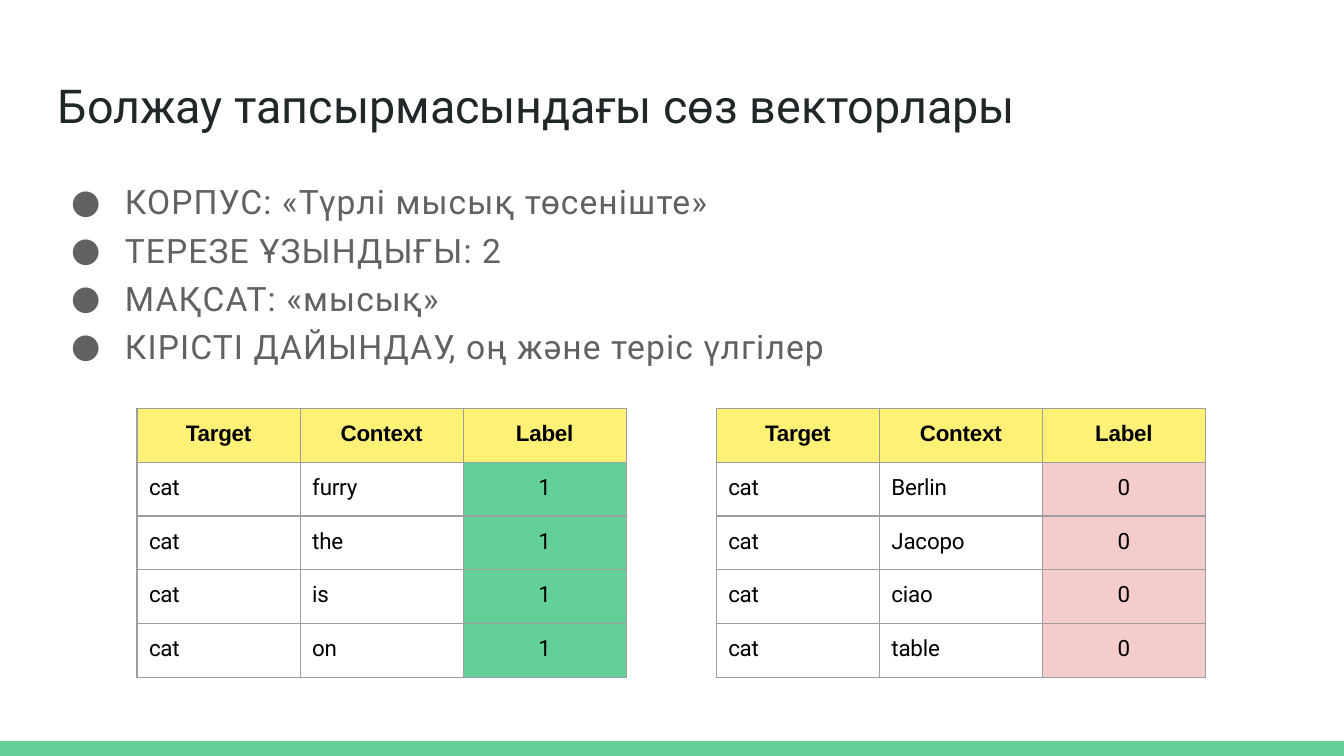
"""Build a slide on word vectors in a prediction task, with positive and negative samples."""
import pptx
import pptx.dml.color
import pptx.enum.shapes
import pptx.enum.text
import pptx.oxml
import pptx.oxml.ns
import pptx.util

Inches, Pt = pptx.util.Inches, pptx.util.Pt
RGBColor = pptx.dml.color.RGBColor
ALIGN = pptx.enum.text.PP_ALIGN
ANCHOR = pptx.enum.text.MSO_ANCHOR
NS = pptx.oxml.ns.nsdecls("a")

GREEN = RGBColor(0x63, 0xD1, 0x97)
PINK = RGBColor(0xF4, 0xCC, 0xCC)
YELLOW = RGBColor(0xFF, 0xF1, 0x76)
INK = RGBColor(0x20, 0x27, 0x29)
GREY = RGBColor(0x61, 0x61, 0x61)
BLACK = RGBColor(0, 0, 0)
BORDER = RGBColor(0x9E, 0x9E, 0x9E)

TITLE = "Болжау тапсырмасындағы сөз векторлары"
BULLETS = [
    "КОРПУС: «Түрлі мысық төсеніште»",
    "ТЕРЕЗЕ ҰЗЫНДЫҒЫ: 2",
    "МАҚСАТ: «мысық»",
    "КІРІСТІ ДАЙЫНДАУ, оң және теріс үлгілер",
]
HEADERS = ["Target", "Context", "Label"]
SAMPLES = [
    (1.02, "1", GREEN, ["furry", "the", "is", "on"]),
    (5.33, "0", PINK, ["Berlin", "Jacopo", "ciao", "table"]),
]
TITLE_FONT = {"name": "Roboto", "size": Pt(25), "bold": False}
BULLET_FONT = {"name": "Roboto", "size": Pt(18)}
HEADER_FONT = {"name": "Arial", "size": Pt(12), "bold": True}
CELL_FONT = {"name": "Roboto", "size": Pt(12), "bold": False}


def set_attrs(target, values):
    for name, value in values.items():
        setattr(target, name, value)


def set_margins(target, top, left=0):
    set_attrs(target, {"margin_left": Inches(left), "margin_top": Inches(top),
                       "margin_right": 0, "margin_bottom": 0})


def add_text(p, text, font, color, spacing=0):
    r = p.add_run()
    r.text = text
    set_attrs(r.font, font)
    r.font.color.rgb = color
    if spacing:
        r.font._element.set("spc", str(round(spacing * 100)))


def add_bar(s, slide_height):
    height = Inches(0.11)
    sp = s.shapes.add_shape(pptx.enum.shapes.MSO_SHAPE.RECTANGLE,
                            0, slide_height - height, Inches(10), height)
    sp.shadow.inherit = False
    sp.fill.solid()
    sp.fill.fore_color.rgb = GREEN
    sp.line.fill.background()


def add_title(s):
    sp = s.shapes.title
    set_attrs(sp, {"left": Inches(0.42), "top": Inches(0.55),
                   "width": Inches(8.32), "height": Inches(0.45)})
    tf = sp.text_frame
    set_margins(tf, 0.02, 0.01)
    set_attrs(tf, {"vertical_anchor": ANCHOR.TOP, "word_wrap": True,
                   "auto_size": pptx.enum.text.MSO_AUTO_SIZE.SHAPE_TO_FIT_TEXT})
    p = tf.paragraphs[0]
    p.alignment = ALIGN.LEFT
    add_text(p, TITLE, TITLE_FONT, INK)


def add_bullets(s):
    sp = s.shapes.add_textbox(Inches(0.52), Inches(1.29), Inches(6.23), Inches(1.44))
    tf = sp.text_frame
    tf.word_wrap = True
    set_margins(tf, 0.06)
    for i, text in enumerate(BULLETS):
        p = tf.add_paragraph() if i else tf.paragraphs[0]
        pPr = p._p.get_or_add_pPr()
        pPr.set("marL", str(Inches(0.41)))
        pPr.set("indent", str(Inches(-0.4)))
        pPr.append(pptx.oxml.parse_xml(f'<a:buFont {NS} typeface="Roboto"/>'))
        pPr.append(pptx.oxml.parse_xml(f'<a:buChar {NS} char="●"/>'))
        if i:
            p.space_before = Pt(4.2)
        add_text(p, text, BULLET_FONT, GREY, 0.6)


def add_borders(cell):
    tcPr = cell._tc.get_or_add_tcPr()
    for side in "LRTB":
        tcPr.append(pptx.oxml.parse_xml(
            f'<a:ln{side} {NS} w="{Pt(0.75)}"><a:solidFill>'
            f'<a:srgbClr val="{BORDER}"/></a:solidFill></a:ln{side}>'))


def fill_cell(cell, text, font, spacing, fill=None, centered=False):
    add_borders(cell)
    if fill is None:
        cell.fill.background()
    else:
        cell.fill.solid()
        cell.fill.fore_color.rgb = fill
    set_margins(cell, 0.09, 0 if centered else 0.09)
    cell.vertical_anchor = ANCHOR.TOP
    p = cell.text_frame.paragraphs[0]
    p.alignment = ALIGN.CENTER if centered else ALIGN.LEFT
    add_text(p, text, font, BLACK, spacing)


def add_samples(s, left, label, color, contexts):
    table = s.shapes.add_table(len(contexts) + 1, len(HEADERS), Inches(left), Inches(3.04),
                               Inches(3.64), Inches(2)).table
    set_attrs(table, {"first_row": False, "horz_banding": False})
    for col, header in enumerate(HEADERS):
        fill_cell(table.cell(0, col), header, HEADER_FONT, -0.1, YELLOW, True)
    for row, context in enumerate(contexts, 1):
        fill_cell(table.cell(row, 0), "cat", CELL_FONT, -0.2)
        fill_cell(table.cell(row, 1), context, CELL_FONT, -0.1)
        fill_cell(table.cell(row, 2), label, CELL_FONT, -0.5, color, True)


def main():
    prs = pptx.Presentation()
    set_attrs(prs, {"slide_width": Inches(10), "slide_height": Pt(405)})
    s = prs.slides.add_slide(prs.slide_layouts.get_by_name("Title Only"))
    add_bar(s, prs.slide_height)
    add_title(s)
    add_bullets(s)
    for sample in SAMPLES:
        add_samples(s, *sample)
    prs.save("out.pptx")


if __name__ == "__main__":
    main()
